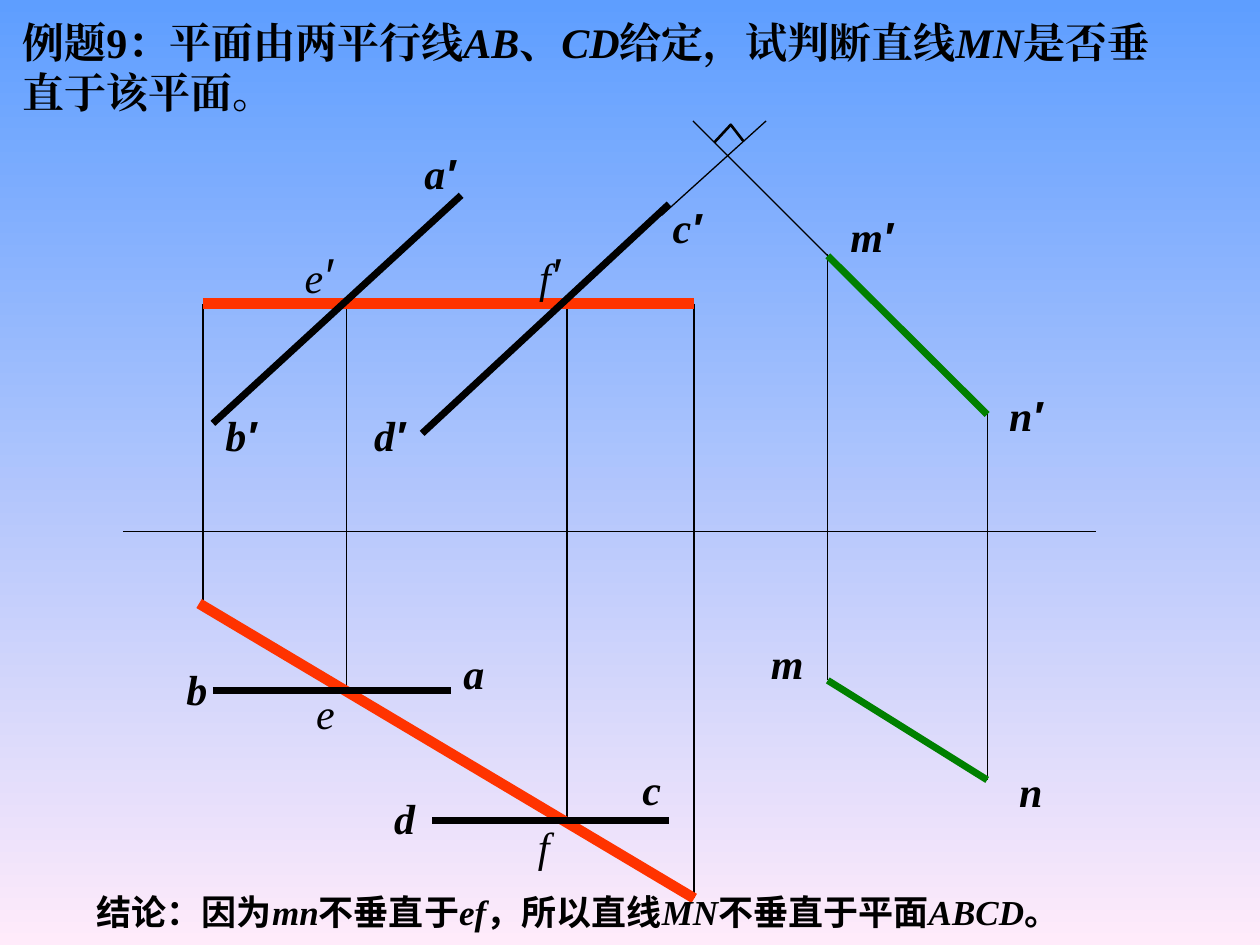
from pptx import Presentation
from pptx.dml.color import RGBColor as Rgb
from pptx.enum.shapes import MSO_CONNECTOR as Link
from pptx.oxml.ns import qn
from pptx.util import Inches, Pt
from lxml.etree import SubElement as Sub

BLACK = Rgb(0, 0, 0)
RED = Rgb(0xFF, 0x33, 0)
GREEN = Rgb(0, 0x80, 0)
SKY = Rgb(0x5E, 0x9E, 0xFF)
PINK = Rgb(0xFF, 0xEB, 0xFA)
TIMES, ARIAL, NOTO = "Times New Roman", "Arial", "Noto Sans CJK SC"

COLS, ROWS = 100, 75
LEFT, RIGHT = 16.1, 55.1
COL_E, COL_F = 27.5, 45
COL_M, COL_N = 65.7, 78.35


def grid(box, x, y):
    return Inches((box[0] + x) / 10), Inches((box[1] + y) / 10)


def line(slide, box, start, end, width=0.75, color=BLACK):
    rule = slide.shapes.add_connector(
        Link.STRAIGHT, *grid(box, *start), *grid(box, *end))
    rule.line.width = Pt(width)
    rule.line.color.rgb = color
    Sub(rule._element.spPr, qn("a:effectLst"))


def text(slide, box, runs):
    left, top, wide, high = box
    frame = slide.shapes.add_textbox(
        *grid(box, 0, 0), Inches(wide / 10), Inches(high / 10)).text_frame
    frame.word_wrap = True
    para = frame.paragraphs[0]
    for words, face, size, bold, slant in runs:
        run = para.add_run()
        run.text = words
        font = run.font
        font.name, font.size = face, Pt(size)
        font.bold, font.italic = bold, slant
        font.color.rgb = BLACK
        Sub(font._element, qn("a:ea")).set("typeface", face)


def label(slide, box, name, x, y, prime=0, bold=True):
    runs = [(name, TIMES, 24, bold, True)]
    if prime:
        runs.append(("′", ARIAL, prime, bold, True))
    text(slide, (box[0] + x, box[1] + y, 9.5, 5), runs)


def phrase(slide, box, parts, face, size):
    text(slide, box, [
        (words, TIMES if i % 2 else face, size, True, bool(i % 2))
        for i, words in enumerate(parts)])


def corner(slide, box, points):
    first, *rest = [grid(box, *p) for p in points]
    pen = slide.shapes.build_freeform(*first)
    pen.add_line_segments(rest, close=False)
    mark = pen.convert_to_shape()
    mark.shadow.inherit = False
    mark.fill.background()
    mark.line.color.rgb = BLACK
    mark.line.width = Pt(1.5)


def drops(slide, box):
    for x, top, end, width in (
            (LEFT, 24.1, 47.9, 1), (RIGHT, 24.1, 71.3, 1),
            (COL_E, 23.8, 54.6, 0.75), (COL_F, 23.8, 65.4, 0.75),
            (COL_M, 20.2, 54, 0.75), (COL_N, 32.8, 61.9, 0.75)):
        line(slide, box, (x, top), (x, end), width)
    line(slide, box, (9.8, 42.2), (87, 42.2))


def front(slide, box):
    line(slide, box, (LEFT, 15.1), (RIGHT, 15.1), 6, RED)
    line(slide, box, (65.8, 11.4), (55, 0.6))
    line(slide, box, (52.5, 8.1), (60.8, 0.6))
    corner(slide, box, ((56.7, 2.3), (58, 0.9), (59, 2.2)))
    line(slide, box, (36.6, 6.5), (16.9, 24.6), 4)
    line(slide, box, (53.1, 7.2), (33.5, 25.4), 4)
    line(slide, box, (COL_M, 11.3), (COL_N, 23.9), 4, GREEN)
    for name, x, y in (("a", 32.7, 2.2), ("b", 16.9, 23), ("c", 52.4, 6.5),
                       ("d", 28.7, 23), ("m", 66.5, 7.2), ("n", 79.1, 21.4)):
        label(slide, box, name, x, y, 24)
    for name, x in (("e", 23.2), ("f", 41.8)):
        label(slide, box, name, x, 9.9, 28, False)


def plan(slide, box):
    line(slide, box, (15.8, 5.9), (RIGHT, 29.3), 6, RED)
    line(slide, box, (16.9, 12.8), (35.8, 12.8), 4)
    line(slide, box, (34.3, 23.1), (53.1, 23.1), 4)
    line(slide, box, (COL_M, 12), (COL_N, 19.9), 4, GREEN)
    for name, x, y in (("a", 35.8, 8.9), ("b", 13.8, 10.2), ("c", 50, 18.1),
                       ("d", 30.3, 20.4), ("m", 60.2, 8.1), ("n", 79.9, 18.3)):
        label(slide, box, name, x, y)
    for name, x, y in (("e", 24.1, 12.1), ("f", 41.7, 22.6)):
        label(slide, box, name, x, y, bold=False)


def title(slide, box):
    phrase(slide, box, ("例题9：平面由两平行线", "AB", "、", "CD",
                        "给定，试判断直线", "MN", "是否垂直于该平面。"),
           TIMES, 24)


def result(slide, box):
    phrase(slide, box, ("结论：因为", "mn", "不垂直于", "ef", "，所以直线",
                        "MN", "不垂直于平面", "ABCD", "。"), NOTO, 20)


def paint(slide):
    fill = slide.background.fill
    fill.gradient()
    fill.gradient_angle = 270
    for stop, color, place in zip(fill.gradient_stops, (SKY, PINK), (0, 1)):
        stop.color.rgb = color
        stop.position = place


def main():
    deck = Presentation()
    deck.slide_width, deck.slide_height = Inches(COLS / 10), Inches(ROWS / 10)
    slide = deck.slides.add_slide(deck.slide_layouts[6])
    paint(slide)
    title(slide, (0.8, 0.8, 94.4, 9))
    drops(slide, (0, 0, COLS, ROWS))
    front(slide, (0, 9, COLS, 33))
    plan(slide, (0, 42, COLS, 28))
    result(slide, (6.7, 70.2, 84.3, 4.4))
    deck.save("out.pptx")


if __name__ == "__main__":
    main()
